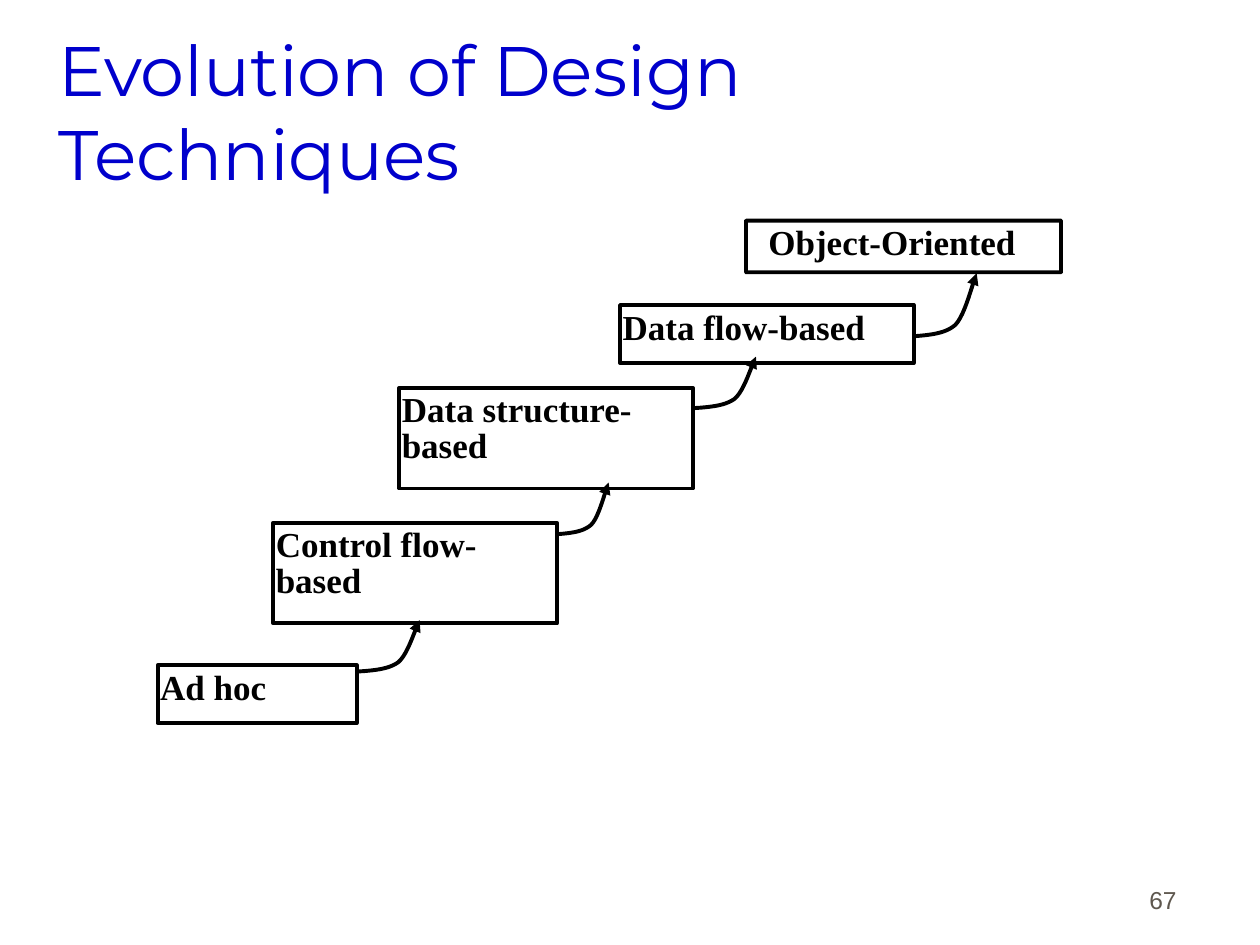
from dataclasses import dataclass

from lxml.etree import SubElement
from pptx import Presentation
from pptx.dml.color import RGBColor
from pptx.enum.shapes import MSO_SHAPE as Shape
from pptx.enum.text import MSO_ANCHOR as Anchor, MSO_AUTO_SIZE as AutoSize, PP_ALIGN as Align
from pptx.oxml.ns import qn
from pptx.util import Cm, Pt


@dataclass(frozen=True)
class Theme:
    """Colours, fonts and sizes of the slide."""
    ink: RGBColor = RGBColor(0, 0, 0)
    title: RGBColor = RGBColor(0x00, 0x00, 0xCC)
    number: RGBColor = RGBColor(0x5E, 0x57, 0x4E)
    line: Pt = Pt(2.24)
    title_font: tuple = ("Montserrat", Pt(40))
    label_font: tuple = ("Times New Roman", Pt(20))
    number_font: tuple = ("Arial", Pt(14))


# Two joined Bezier segments in unit coordinates, rising to the top right.
RISE = [(0, 1), (0.25, 0.98), (0.5, 0.96), (0.66, 0.82),
        (0.82, 0.66), (0.94, 0.13), (1, 0)]


def apply(target, **values):
    """Set every given attribute on the target."""
    for name, value in values.items():
        setattr(target, name, value)


def bezier(points, steps=12):
    """Return points along one cubic Bezier segment, without its start."""
    a, b, c, d = points
    curve = []
    for step in range(1, steps + 1):
        t = step / steps
        u = 1 - t
        curve.append(tuple(u**3 * p + 3 * u * u * t * q + 3 * u * t * t * r + t**3 * s
                           for p, q, r, s in zip(a, b, c, d)))
    return curve


class SlideBuilder:
    """Draws styled elements on the current slide."""

    def __init__(self, slide, theme):
        """Keep the slide and its theme."""
        self.slide, self.theme = slide, theme

    def set_text(self, shape, text, font, color, inset=0.05, anchor=Anchor.TOP,
                 bold=False, **paragraph_format):
        """Put formatted text in a shape."""
        frame = shape.text_frame
        apply(frame, text=text, word_wrap=True, auto_size=AutoSize.NONE,
              vertical_anchor=anchor, margin_left=Cm(inset), margin_right=Cm(inset),
              margin_top=Cm(0.13), margin_bottom=Cm(0.13))
        paragraph = frame.paragraphs[0]
        apply(paragraph, **{"alignment": Align.LEFT, **paragraph_format})
        style = paragraph.runs[0].font
        apply(style, name=font[0], size=font[1], bold=bold)
        style.color.rgb = color

    def outline(self, shape):
        """Give a shape a plain black outline."""
        shape.shadow.inherit = False
        shape.fill.background()
        shape.line.color.rgb = self.theme.ink
        shape.line.width = self.theme.line

    def title(self, text, *place):
        """Fill and move the title placeholder."""
        heading = self.slide.shapes.title
        apply(heading, **dict(zip(("left", "top", "width", "height"), map(Cm, place))))
        self.set_text(heading, text, self.theme.title_font, self.theme.title,
                      anchor=Anchor.MIDDLE, space_before=Pt(10))

    def number(self, text, *place):
        """Add the page number."""
        page_number = self.slide.shapes.add_textbox(*map(Cm, place))
        self.set_text(page_number, text, self.theme.number_font, self.theme.number,
                      inset=0.25, anchor=Anchor.BOTTOM, alignment=Align.RIGHT,
                      space_before=Pt(8.8))

    def label(self, shape, text):
        """Put the name of a technique in a shape."""
        self.set_text(shape, text, self.theme.label_font, self.theme.ink, bold=True,
                      line_spacing=0.85, space_before=Pt(11.5))

    def technique(self, text, *place):
        """Add an outlined box with a name."""
        box = self.slide.shapes.add_shape(Shape.RECTANGLE, *map(Cm, place))
        self.outline(box)
        self.label(box, text)

    def goal(self, text, frame_place, text_place):
        """Add the rounded frame of the final technique and its name."""
        name = self.slide.shapes.add_textbox(*map(Cm, text_place))
        self.label(name, text)
        frame = self.slide.shapes.add_shape(Shape.ROUNDED_RECTANGLE, *map(Cm, frame_place))
        frame.adjustments[0] = 0.004
        self.outline(frame)

    def step_arrow(self, left, top, width, height):
        """Add a curved arrow rising to the next technique."""
        curve = RISE[:1] + bezier(RISE[:4]) + bezier(RISE[3:])
        start, *rest = [(Cm(left + x * width), Cm(top + y * height)) for x, y in curve]
        builder = self.slide.shapes.build_freeform(*start)
        builder.add_line_segments(rest, close=False)
        arrow = builder.convert_to_shape()
        self.outline(arrow)
        SubElement(arrow.element.spPr.find(qn("a:ln")), qn("a:tailEnd"), type="triangle")


deck = Presentation()
apply(deck, slide_width=Cm(25.4), slide_height=Cm(19.05))
page = SlideBuilder(deck.slides.add_slide(deck.slide_layouts[5]), Theme())

page.number("67", 18.69, 17.3, 5.28, 1.27)
page.title("Evolution of Design Techniques", 1.12, 0.64, 21.59, 3.18)
page.goal("Object-Oriented", (15.04, 4.45, 6.35, 1.04), (15.44, 4.45, 5.92, 1.09))

for technique in [
    ("Ad hoc", 3.18, 13.41, 4.01, 1.17),
    ("Data flow-based", 12.5, 6.15, 5.92, 1.17),
    ("Data structure-based", 8.05, 7.82, 5.92, 2.03),
    ("Control flow-based", 5.51, 10.54, 5.72, 2.03),
]:
    page.technique(*technique)

for arrow_place in [
    (7.19, 12.5, 1.27, 1.04),
    (18.42, 5.51, 1.27, 1.27),
    (13.97, 7.19, 1.27, 1.04),
    (11.23, 9.73, 1.04, 1.04),
]:
    page.step_arrow(*arrow_place)

deck.save("out.pptx")
